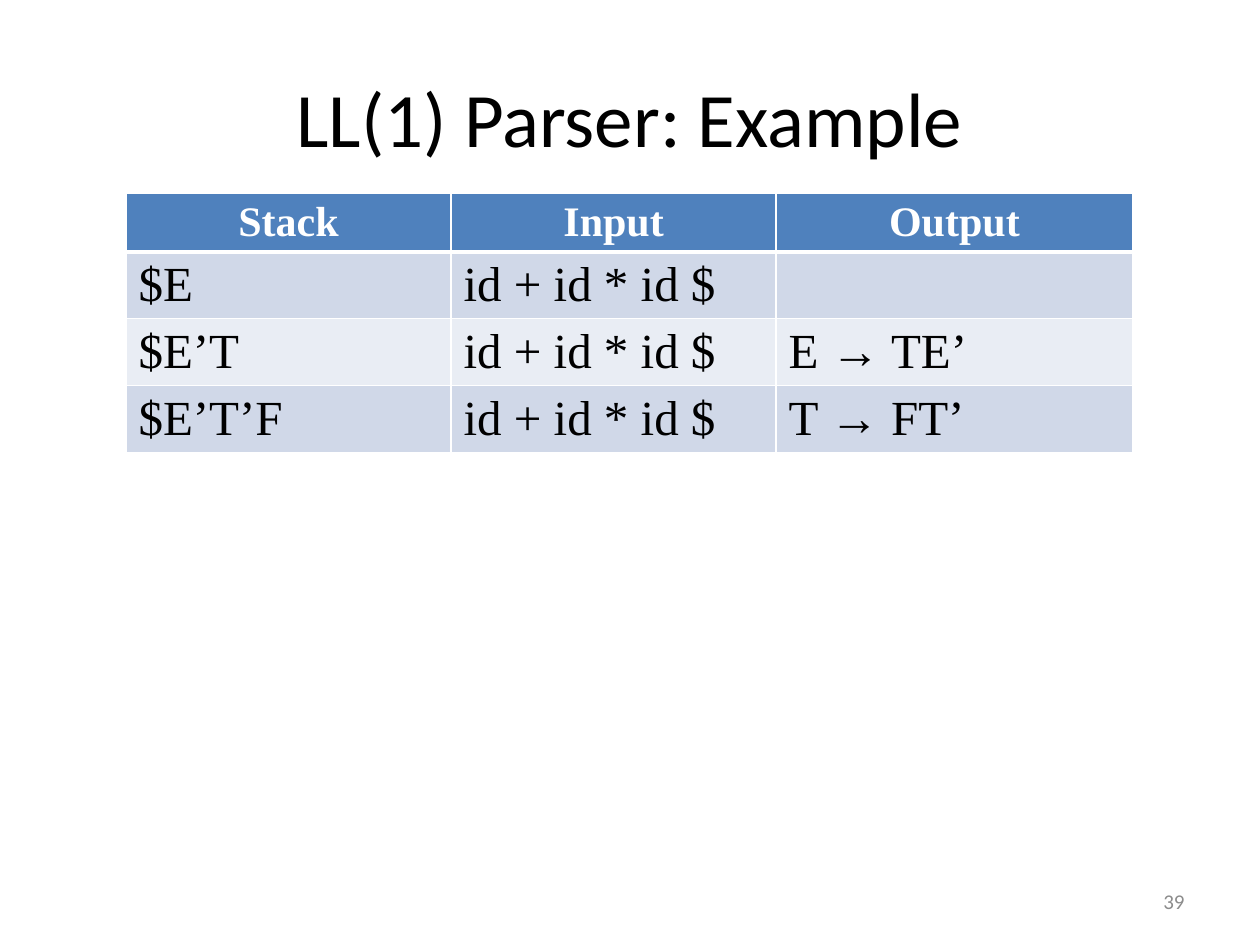
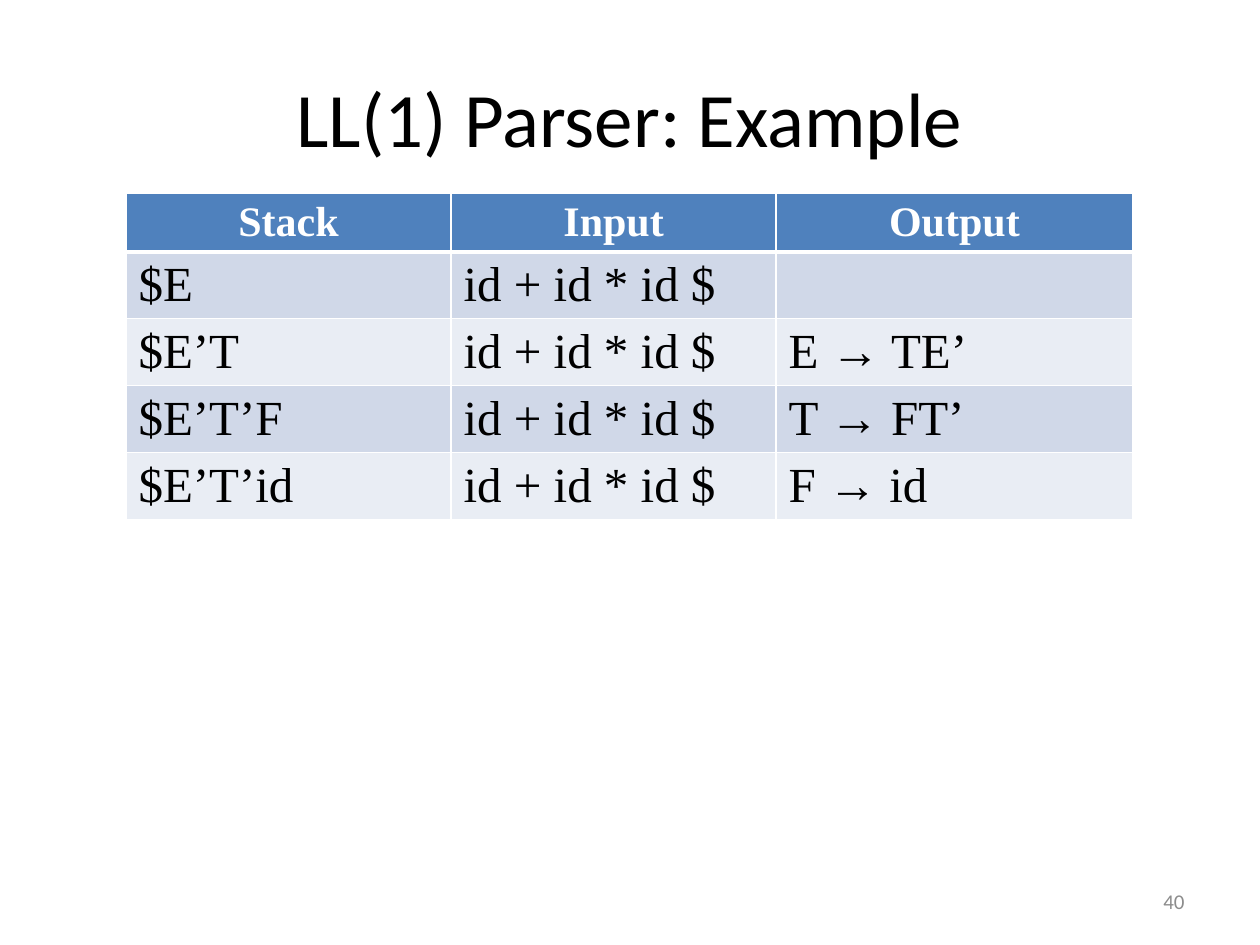
from lxml import etree
from pptx import Presentation
from pptx import util as u
from pptx.dml.color import RGBColor
from pptx.enum import text
from pptx.oxml import ns

WIDTH, HEIGHT = u.Inches(10), u.Inches(7.5)
COLORS = {"header": "4F81BD", "band_dark": "D0D8E8", "band_light": "E9EDF4",
          "white": "FFFFFF", "black": "000000", "number": "8C8C8C"}
TITLE = "LL(1) Parser: Example"
HEADINGS = ("Stack", "Input", "Output")
INPUT = "id + id * id $"
STEPS = [("$E", INPUT, ""),
         ("$E’T", INPUT, "E → TE’"),
         ("$E’T’F", INPUT, "T → FT’"),
         ("$E’T’id", INPUT, "F → id")]
COLUMN_SHARES = (0.258, 0.258, 0.283)
HEADER_HEIGHT, STEP_HEIGHT = u.Inches(0.46), u.Inches(0.53)
FIRST_NUMBER = 39


def color(name):
    return RGBColor.from_string(COLORS[name])


def box(left, top, width, height):
    """Turn shares of the slide's size into lengths."""
    return (int(left * WIDTH), int(top * HEIGHT),
            int(width * WIDTH), int(height * HEIGHT))


def style(p, font, size, name, align, bold=False):
    p.alignment = align
    p.font.name, p.font.size, p.font.bold = font, u.Pt(size), bold
    p.font.color.rgb = color(name)


def add_title(s):
    sp = s.shapes.title
    sp.left, sp.top, sp.width, sp.height = box(0.05, 0.04, 0.9, 1 / 6)
    tf = sp.text_frame
    tf.text = TITLE
    tf.vertical_anchor = text.MSO_ANCHOR.MIDDLE
    style(tf.paragraphs[0], "Calibri", 44, "black", text.PP_ALIGN.CENTER)


def add_number(s, number):
    tf = s.shapes.add_textbox(*box(0.717, 0.927, 0.233, 0.053)).text_frame
    tf.word_wrap = True
    tf.vertical_anchor = text.MSO_ANCHOR.MIDDLE
    tf.text = str(number)
    style(tf.paragraphs[0], "Calibri", 12, "number", text.PP_ALIGN.RIGHT)


def set_borders(cell, **points):
    """Draw white cell borders; they precede the fill in the XML."""
    tc_pr = cell._tc.get_or_add_tcPr()
    for i, side in enumerate("LRTB"):
        ln = etree.Element(ns.qn(f"a:ln{side}"), w=str(u.Pt(points.get(side, 1))))
        fill = etree.SubElement(ln, ns.qn("a:solidFill"))
        etree.SubElement(fill, ns.qn("a:srgbClr"), val=COLORS["white"])
        tc_pr.insert(i, ln)


def fill_cell(cell, words, row):
    cell.text = words
    p = cell.text_frame.paragraphs[0]
    cell.fill.solid()
    if row == 0:
        cell.fill.fore_color.rgb = color("header")
        style(p, "Times New Roman", 24, "white", text.PP_ALIGN.CENTER, True)
        set_borders(cell, B=3)
    else:
        cell.fill.fore_color.rgb = color("band_dark" if row % 2 else "band_light")
        style(p, "Times New Roman", 28, "black", text.PP_ALIGN.LEFT)
        set_borders(cell, T=3 if row == 1 else 1)


def add_steps(s, steps):
    rows = [HEADINGS, *steps]
    left, top, width, _ = box(0.1, 0.204, 0.8, 0)
    height = HEADER_HEIGHT + STEP_HEIGHT * len(steps)
    table = s.shapes.add_table(len(rows), len(HEADINGS),
                               left, top, width, height).table
    for column, share in zip(table.columns, COLUMN_SHARES):
        column.width = int(share * WIDTH)
    for i, row in enumerate(rows):
        table.rows[i].height = STEP_HEIGHT if i else HEADER_HEIGHT
        for j, words in enumerate(row):
            fill_cell(table.cell(i, j), words, i)


def main():
    prs = Presentation()
    prs.slide_width, prs.slide_height = WIDTH, HEIGHT
    # Each slide shows one more parsing step
    for i, count in enumerate((3, 4)):
        s = prs.slides.add_slide(prs.slide_layouts[5])
        add_title(s)
        add_steps(s, STEPS[:count])
        add_number(s, FIRST_NUMBER + i)
    prs.save("out.pptx")


if __name__ == "__main__":
    main()
